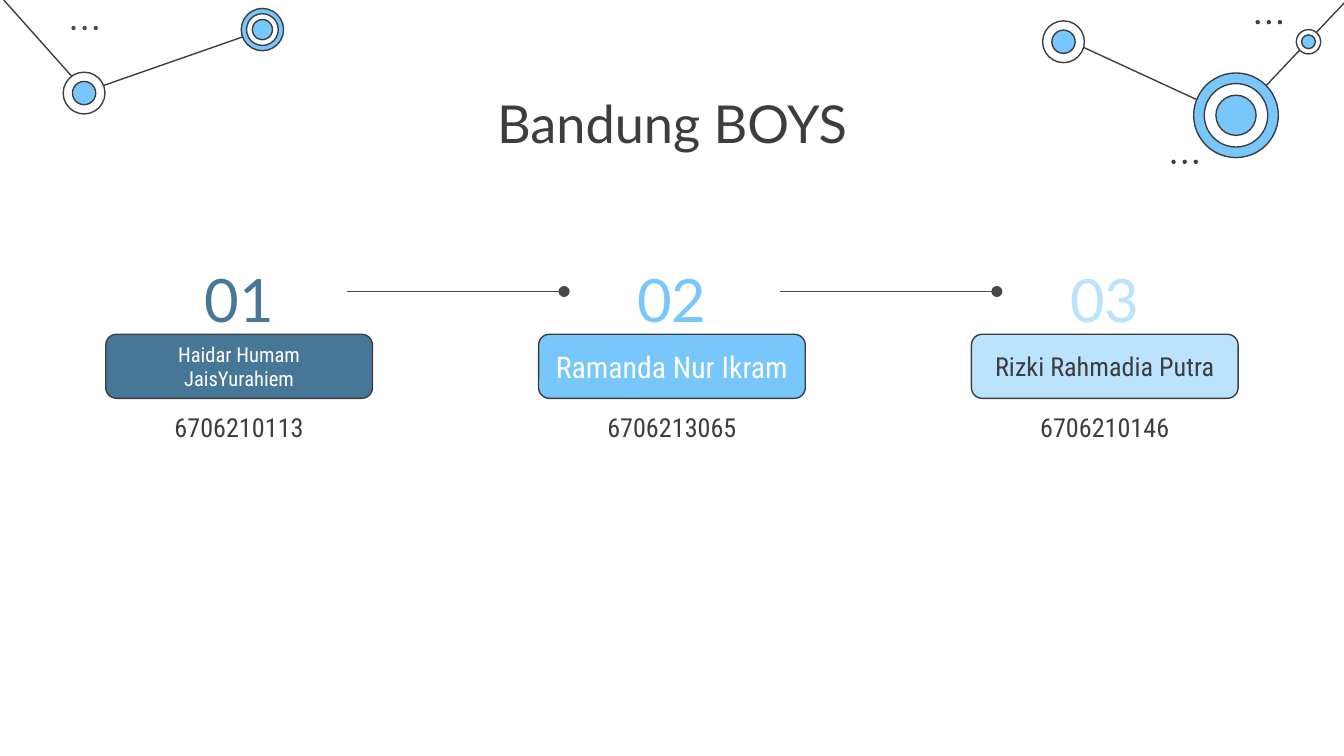
from pptx import Presentation
from pptx.dml.color import RGBColor
from pptx.enum.shapes import MSO_CONNECTOR, MSO_SHAPE
from pptx.enum.text import MSO_ANCHOR, PP_ALIGN
from pptx.oxml.ns import qn
from pptx.util import Cm, Pt
from lxml import etree

OVAL, ROUNDED = MSO_SHAPE.OVAL, MSO_SHAPE.ROUNDED_RECTANGLE
STRAIGHT = MSO_CONNECTOR.STRAIGHT
TOP, MIDDLE, BOTTOM = MSO_ANCHOR.TOP, MSO_ANCHOR.MIDDLE, MSO_ANCHOR.BOTTOM
CENTER = PP_ALIGN.CENTER

COLORS = {
    "ink": "3D3D3D",
    "gray": "494949",
    "white": "FFFFFF",
    "steel": "477797",
    "sky": "77C6FC",
    "pale": "BBE3FE",
}
HEADING, BODY = "Lato", "Roboto Condensed"


class SlideBuilder:
    def __init__(self, slide):
        self.slide = slide
        self.line_width = Pt(0.75)
        self.inset = Cm(0.25)

    def color(self, name):
        return RGBColor.from_string(COLORS[name])

    def fill_text(self, shape, text, font, size, color, anchor, inset_y):
        frame = shape.text_frame
        frame.word_wrap = True
        frame.vertical_anchor = anchor
        frame.margin_left = frame.margin_right = self.inset
        frame.margin_top = frame.margin_bottom = inset_y
        frame.text = text
        paragraph = frame.paragraphs[0]
        paragraph.alignment = CENTER
        style = paragraph.runs[0].font
        style.name, style.size = font, Pt(size)
        style.color.rgb = self.color(color)

    def text(self, box, text, font, size, color, anchor=TOP, inset_y=Cm(0.25)):
        shape = self.slide.shapes.add_textbox(*map(Cm, box))
        self.fill_text(shape, text, font, size, color, anchor, inset_y)

    def shape(self, kind, box, fill, line=None):
        shape = self.slide.shapes.add_shape(kind, *map(Cm, box))
        shape.shadow.inherit = False
        shape.fill.solid()
        shape.fill.fore_color.rgb = self.color(fill)
        if line:
            shape.line.color.rgb = self.color(line)
            shape.line.width = self.line_width
        else:
            shape.line.fill.background()
        return shape

    def label(self, box, fill, text, size, color):
        shape = self.shape(ROUNDED, box, fill, "ink")
        self.fill_text(shape, text, BODY, size, color, MIDDLE, self.inset)

    def line(self, start, end, color, oval_end=False):
        connector = self.slide.shapes.add_connector(STRAIGHT, *map(Cm, start + end))
        connector.line.color.rgb = self.color(color)
        connector.line.width = self.line_width
        properties = connector._element.spPr
        if oval_end:
            etree.SubElement(properties.find(qn("a:ln")), qn("a:tailEnd"), type="oval")
        etree.SubElement(properties, qn("a:effectLst"))

    def target(self, center, rings):
        for diameter, fill in rings:
            corner = [position - diameter / 2 for position in center]
            self.shape(OVAL, (*corner, diameter, diameter), fill, "ink")

    def dots(self, left, top, color):
        for index in range(3):
            self.shape(OVAL, (left + 0.21 * index, top, 0.08, 0.08), color)


presentation = Presentation()
presentation.slide_width, presentation.slide_height = Cm(25.4), Cm(14.29)
builder = SlideBuilder(presentation.slides.add_slide(presentation.slide_layouts[6]))

for start, end in [
    ((1.63, 1.73), (4.98, 0.56)),
    ((0, -0.08), (1.63, 1.75)),
    ((23.37, 2.23), (20.14, 0.74)),
    ((25.55, -0.1), (23.37, 2.21)),
]:
    builder.line(start, end, "ink")

for center, rings in [
    ((1.59, 1.76), [(0.79, "white"), (0.44, "sky")]),
    ((4.96, 0.56), [(0.8, "sky"), (0.6, "white"), (0.38, "sky")]),
    ((23.36, 2.18), [(1.6, "sky"), (1.2, "white"), (0.76, "sky")]),
    ((20.1, 0.79), [(0.79, "white"), (0.44, "sky")]),
    ((24.73, 0.79), [(0.46, "white"), (0.26, "sky")]),
]:
    builder.target(center, rings)

for left, top, color in [
    (1.35, 0.49, "gray"),
    (23.73, 0.38, "ink"),
    (22.14, 3.02, "ink"),
]:
    builder.dots(left, top, color)

builder.text((2, 1.47, 21.4, 1.6), "Bandung BOYS", HEADING, 28, "ink")

MEMBERS = [
    ("Haidar Humam JaisYurahiem", "6706210113", "steel", 11, "white"),
    ("Ramanda Nur Ikram", "6706213065", "sky", 16, "white"),
    ("Rizki Rahmadia Putra", "6706210146", "pale", 14, "ink"),
]
MARGIN, STEP, LABEL_WIDTH, NUMBER_WIDTH = 2, 8.18, 5.04, 4.08
for index, (name, student_id, accent, size, name_color) in enumerate(MEMBERS):
    left = MARGIN + STEP * index
    number_left = left + (LABEL_WIDTH - NUMBER_WIDTH) / 2
    number_right = number_left + NUMBER_WIDTH
    if index < len(MEMBERS) - 1:
        builder.line((number_right, 5.51), (number_left + STEP, 5.51), "gray", True)
    builder.label((left, 6.32, LABEL_WIDTH, 1.21), accent, name, size, name_color)
    builder.text((left, 7.53, LABEL_WIDTH, 1.62), student_id, BODY, 14, "ink")
    builder.text((number_left, 4.72, NUMBER_WIDTH, 1.6), f"{index + 1:02d}",
                 HEADING, 32, accent, BOTTOM, 0)

presentation.save("out.pptx")
